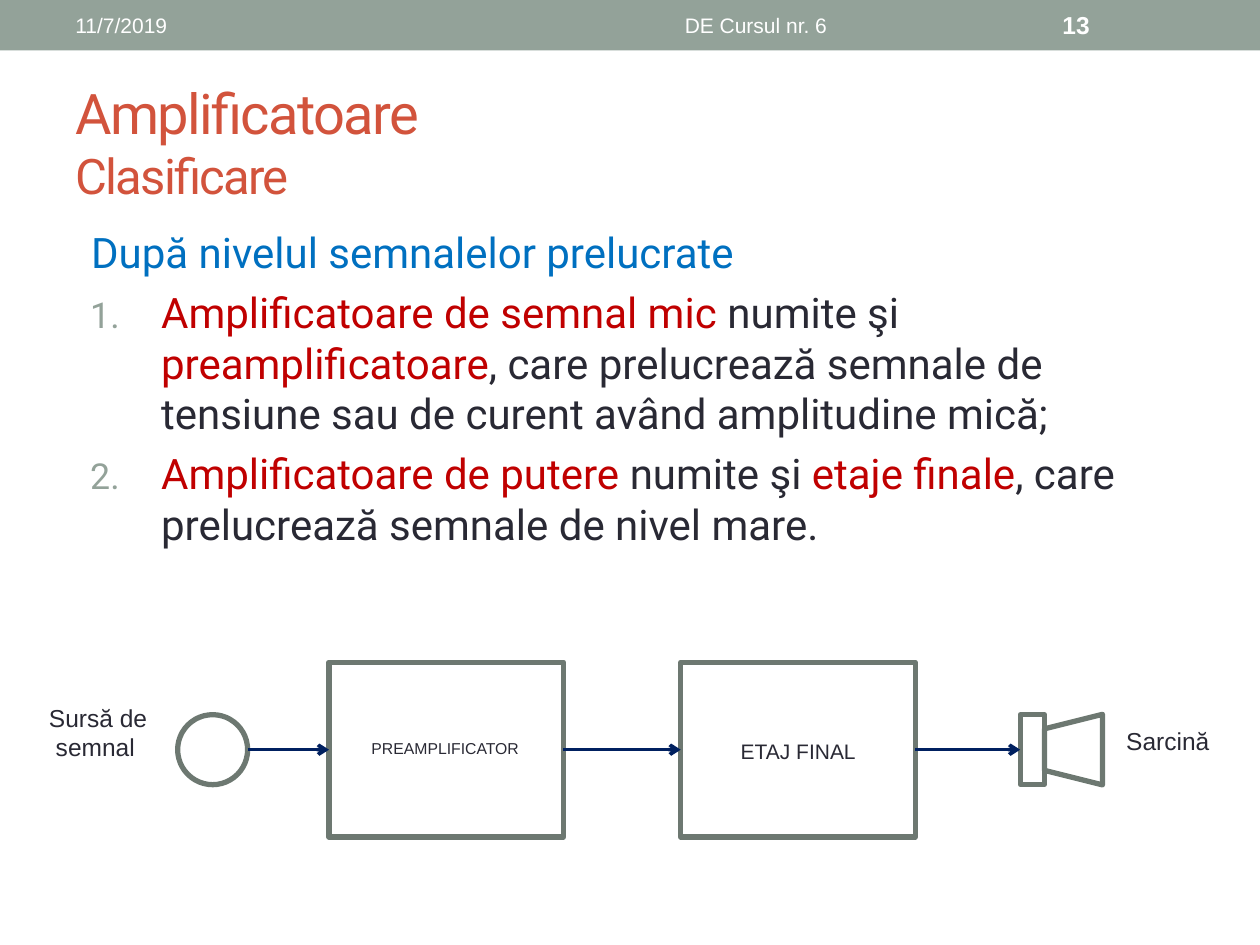
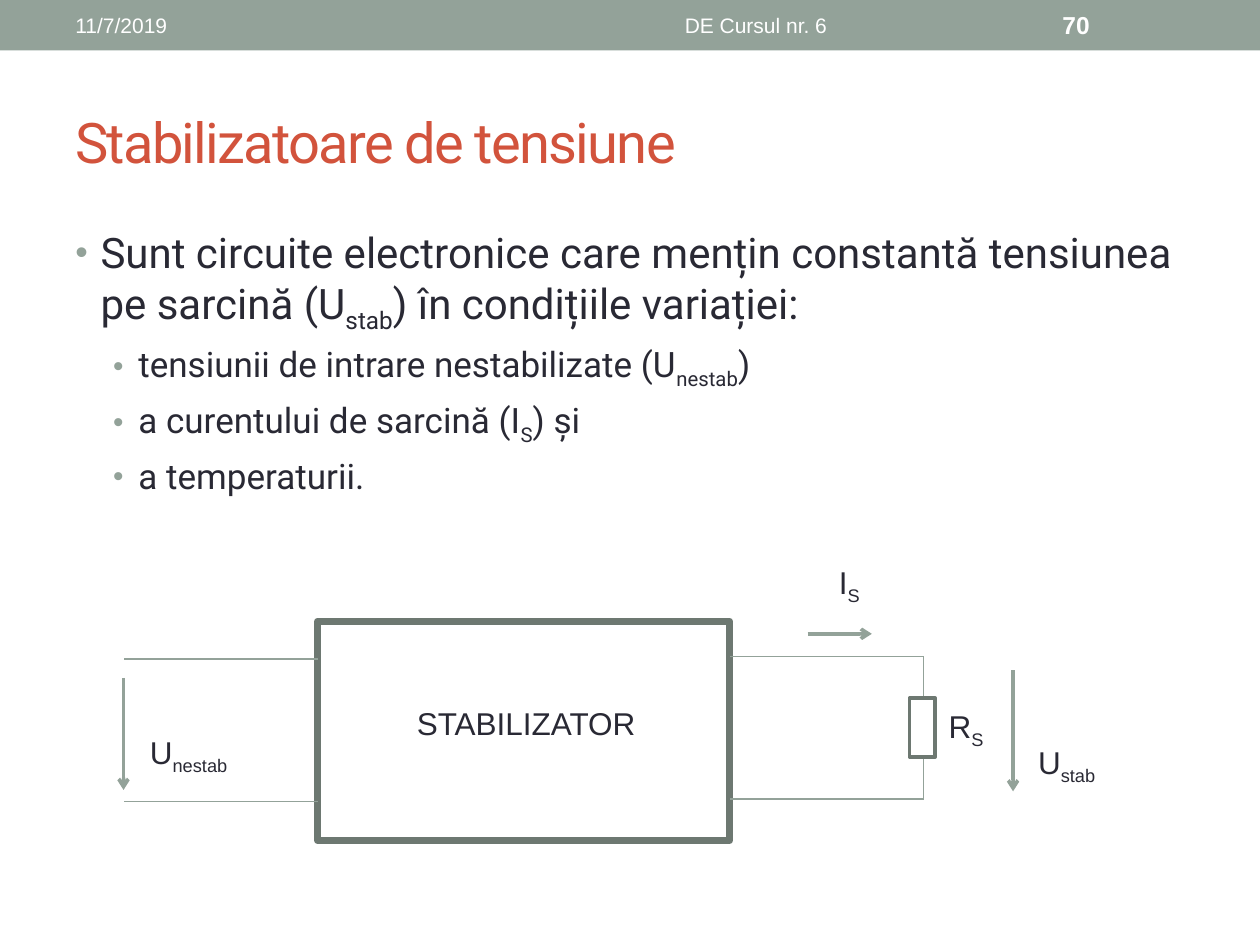
from lxml import etree
from pptx import Presentation
from pptx.dml.color import RGBColor
from pptx.enum.shapes import MSO_CONNECTOR as Link, MSO_SHAPE as Kind
from pptx.enum.text import MSO_ANCHOR as Anchor, MSO_AUTO_SIZE as Fit, PP_ALIGN as Align
from pptx.oxml.ns import qn
from pptx.util import Pt

COLORS = {
    "sage": "93A299", "outline": "6D7871", "title": "D2533C", "ink": "292934",
    "blue": "0070C0", "red": "C00000", "navy": "002060", "white": "FFFFFF",
}
DATE, COURSE = "11/7/2019", "DE Cursul nr. 6"
BODY_AREA = (36, 126, 648, 384)

# Content: a paragraph is a list of (text, span format) pairs
RED, SUB, SMALL = {"color": "red"}, {"sub": True}, {"size": 28}
AMPLIFIERS = {
    "number": "13",
    "title": [("Amplificatoare", {}), ("\n", {}), ("Clasificare", SMALL)],
    "body": [
        ("lead", [("După nivelul semnalelor prelucrate", {"color": "blue"})]),
        ("number", [("Amplificatoare de semnal mic", RED), (" numite şi ", {}),
                    ("preamplificatoare", RED),
                    (", care prelucrează semnale de tensiune sau de curent "
                     "având amplitudine mică;", {})]),
        ("number", [("Amplificatoare de putere", RED), (" numite şi ", {}),
                    ("etaje finale", RED),
                    (", care prelucrează semnale de nivel mare.", {})]),
    ],
}
STABILIZERS = {
    "number": "70",
    "title": [("Stabilizatoare de tensiune", {})],
    "body": [
        ("bullet", [("Sunt circuite electronice care mențin constantă tensiunea "
                     "pe sarcină (U", {}), ("stab", SUB),
                    (") în condițiile variației:", {})]),
        ("subbullet", [("tensiunii de intrare nestabilizate (U", {}),
                       ("nestab", SUB), (")", {})]),
        ("subbullet", [("a curentului de sarcină (I", {}), ("S", SUB), (") și", {})]),
        ("subbullet", [("a temperaturii.", {})]),
    ],
}

# Paragraph kinds: level, left margin, first-line indent, size, bullet
KINDS = {
    "lead": (0, 9, 0, 24, None),
    "number": (0, 49, -40.5, 24, ("buAutoNum", {"type": "arabicPeriod"})),
    "bullet": (0, 14.4, -14.4, 24, ("buChar", {"char": "•"})),
    "subbullet": (1, 36, -14.4, 20, ("buChar", {"char": "•"})),
}

# Signal chain: shape, left, width, height; all centred on one axis
CHAIN_AXIS = 428.4
CHAIN = [
    (Kind.OVAL, 101.5, 40, 40),
    (Kind.RECTANGLE, 188, 134, 100),
    (Kind.RECTANGLE, 389, 134, 100),
    (Kind.RECTANGLE, 583, 13.7, 40),
]
HORN = (593.3, 411.8, 40.3, 33.1)
CHAIN_LABELS = [
    (["PREAMPLIFICATOR"], (205.2, 418.3, 100, 18), 9),
    (["ETAJ FINAL"], (416.2, 418.3, 81.4, 21.6), 12),
    (["Sursă de", " semnal"], (20.9, 398.2, 71.3, 41), 14),
    (["Sarcină"], (636.5, 411.1, 62.6, 24.5), 14),
]

# Stabilizer circuit
STABILIZER = (181.5, 355, 235.5, 125.3)
RESISTOR = (519.8, 398.9, 14.6, 33.8)
INPUT_X, LOAD_X = 70.6, 527.8
INPUT_YS, OUTPUT_YS = (376.6, 457.9), (375.1, 456.5)
CIRCUIT_ARROWS = [
    (INPUT_X, 387.4, INPUT_X, 451.4),
    (578.9, 383, 578.9, 452.2),
    (461.5, 362.2, 498.2, 362.2),
]
CIRCUIT_LABELS = [
    ("STABILIZATOR", "", (231.1, 398.9, 141.1, 28.8)),
    ("U", "nestab", (78.5, 415.4, 64.1, 28.8)),
    ("U", "stab", (586.1, 421.2, 50.4, 28.8)),
    ("R", "S", (535, 400.3, 36, 28.8)),
    ("I", "S", (472.3, 318.2, 27.4, 28.8)),
]


def rgb(name):
    return RGBColor.from_string(COLORS[name])


def child(parent, tag, **attributes):
    return etree.SubElement(parent, qn(f"a:{tag}"), attributes)


def add_span(para, text, size=18, font="Arial", color="ink", bold=False, sub=False, tracking=0):
    if text == "\n":
        para.add_line_break()
        return
    span = para.add_run()
    span.text = text
    span.font.size, span.font.name, span.font.bold = Pt(size), font, bold
    span.font.color.rgb = rgb(color)
    properties = span._r.get_or_add_rPr()
    if sub:
        properties.set("baseline", "-25000")
    if tracking:
        properties.set("spc", str(tracking * 100))


def style_paragraph(para, kind):
    level, margin, indent, size, bullet = KINDS[kind]
    para.level = level
    para.space_before = Pt(round(size * 0.235, 1))
    properties = para._p.get_or_add_pPr()
    properties.set("marL", str(Pt(margin)))
    properties.set("indent", str(Pt(indent)))
    if bullet:
        tag, attributes = bullet
        child(child(properties, "buClr"), "srgbClr", val=COLORS["sage"])
        child(properties, "buSzPct", val="85000")
        if tag == "buChar":
            child(properties, "buFont", typeface="Arial")
        child(properties, tag, **attributes)
    return size


def add_text(page, paragraphs, area, anchor=Anchor.TOP, align=Align.LEFT, wrap=True, kinds=None,
             **base):
    """Add a text box; base is the format each span starts from."""
    box = page.shapes.add_textbox(*map(Pt, area))
    frame = box.text_frame
    frame.word_wrap, frame.vertical_anchor = wrap, anchor
    frame.auto_size = Fit.NONE if wrap else Fit.SHAPE_TO_FIT_TEXT
    for index, spans in enumerate(paragraphs):
        para = frame.add_paragraph() if index else frame.paragraphs[0]
        para.alignment = align
        if kinds:
            base["size"] = style_paragraph(para, kinds[index])
        for text, extra in spans:
            add_span(para, text, **{**base, **extra})


def add_shape(page, kind, area, fill=None, line=None, weight=3):
    shape = page.shapes.add_shape(kind, *map(Pt, area))
    shape.shadow.inherit = False
    if fill:
        shape.fill.solid()
        shape.fill.fore_color.rgb = rgb(fill)
    else:
        shape.fill.background()
    if line:
        shape.line.color.rgb, shape.line.width = rgb(line), Pt(weight)
    else:
        shape.line.fill.background()
    return shape


def add_line(page, ends, color="sage", weight=0.75, arrow=False):
    line = page.shapes.add_connector(Link.STRAIGHT, *map(Pt, ends))
    line.line.color.rgb, line.line.width = rgb(color), Pt(weight)
    if arrow:
        child(line.line._get_or_add_ln(), "tailEnd", type="arrow")
    child(line._element.spPr, "effectLst")


def add_page(deck, content):
    """Add a page with the shared band, header, title and body."""
    page = deck.slides.add_slide(deck.slide_layouts[6])
    add_shape(page, Kind.RECTANGLE, (0, 0, 720, 28.8), fill="sage")
    add_text(page, [content["title"]], (36, 41.8, 648, 77.8), anchor=Anchor.MIDDLE,
             size=32, font="Roboto", color="title", tracking=-1)
    kinds, paragraphs = zip(*content["body"])
    add_text(page, paragraphs, BODY_AREA, kinds=kinds, font="Roboto")
    header = [
        (DATE, 36, 228, Align.LEFT, {"size": 12}),
        (COURSE, 270, 324, Align.CENTER, {"size": 12}),
        (content["number"], 600, 84, Align.LEFT, {"size": 14, "bold": True}),
    ]
    for text, left, width, align, style in header:
        add_text(page, [[(text, style)]], (left, 1.44, width, 25.9),
                 anchor=Anchor.MIDDLE, align=align, color="white")
    return page


def draw_chain(page):
    for kind, left, width, height in CHAIN:
        add_shape(page, kind, (left, CHAIN_AXIS - height / 2, width, height), line="outline")
    add_shape(page, Kind.TRAPEZOID, HORN, line="outline").rotation = 270
    for lines, area, size in CHAIN_LABELS:
        add_text(page, [[(text, {})] for text in lines], area, wrap=False, size=size)
    for (_, left, width, _), (_, target, _, _) in zip(CHAIN, CHAIN[1:]):
        add_line(page, (left + width, CHAIN_AXIS, target, CHAIN_AXIS),
                 color="navy", weight=2, arrow=True)


def draw_circuit(page):
    left, _, width, _ = STABILIZER
    add_shape(page, Kind.RECTANGLE, STABILIZER, line="outline", weight=4)
    # Wires
    for y in INPUT_YS:
        add_line(page, (left, y, INPUT_X, y))
    for y in OUTPUT_YS:
        add_line(page, (LOAD_X, y, left + width, y))
    _, top, _, height = RESISTOR
    for start, end in ((OUTPUT_YS[0], top), (top + height, OUTPUT_YS[1])):
        add_line(page, (LOAD_X, start, LOAD_X, end))
    add_shape(page, Kind.RECTANGLE, RESISTOR, line="outline", weight=2.08)
    # Arrows and labels
    for ends in CIRCUIT_ARROWS:
        add_line(page, ends, weight=2, arrow=True)
    for symbol, index, area in CIRCUIT_LABELS:
        spans = [(symbol, {})] + ([(index, SUB)] if index else [])
        add_text(page, [spans], area, wrap=False)


def main():
    deck = Presentation()
    deck.slide_width, deck.slide_height = Pt(720), Pt(540)
    draw_chain(add_page(deck, AMPLIFIERS))
    draw_circuit(add_page(deck, STABILIZERS))
    deck.save("out.pptx")


if __name__ == "__main__":
    main()
